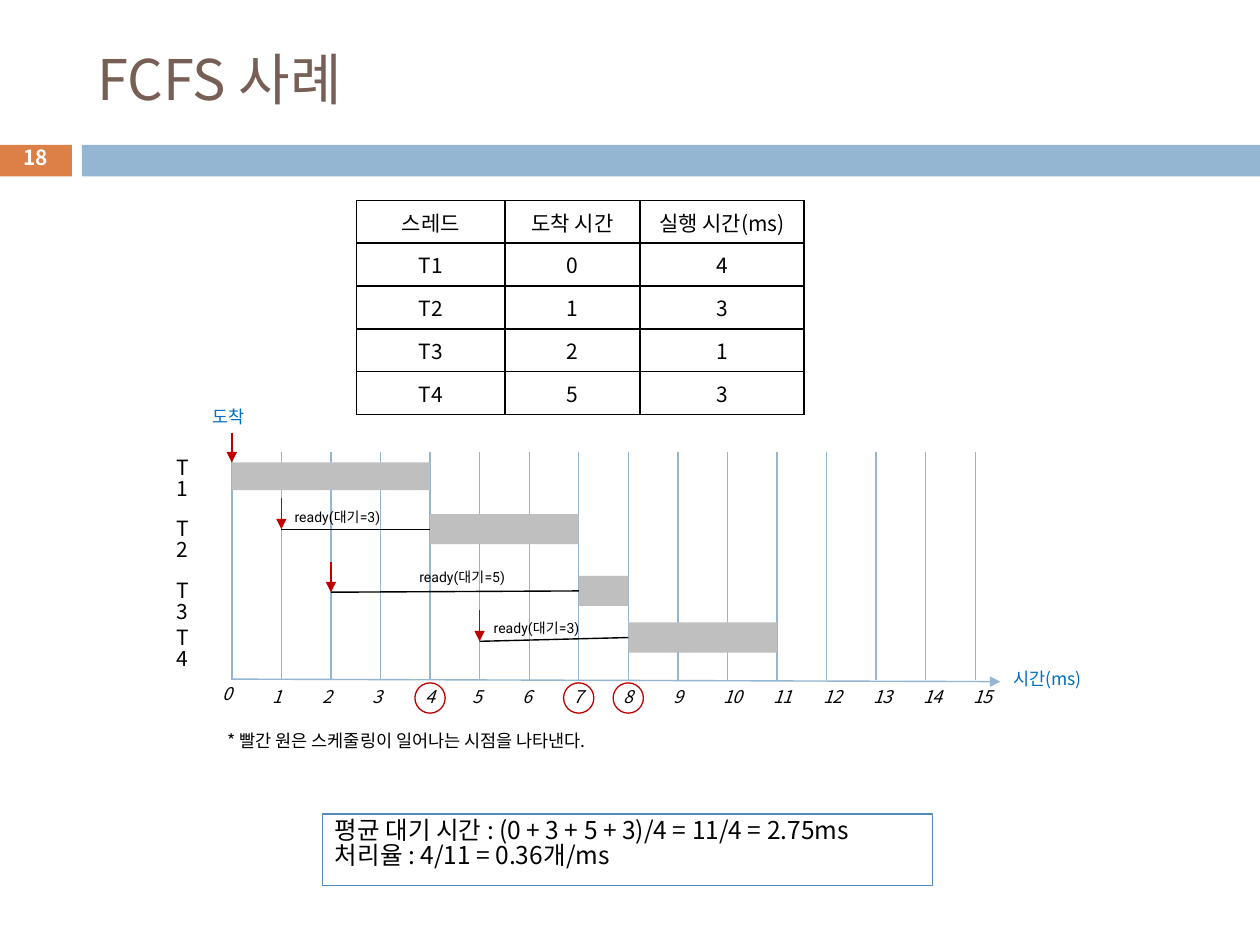
from lxml.etree import SubElement
from pptx import Presentation
from pptx.dml.color import RGBColor
from pptx.enum.shapes import MSO_CONNECTOR, MSO_SHAPE
from pptx.enum.text import MSO_ANCHOR, PP_ALIGN
from pptx.oxml.ns import qn
from pptx.util import Inches, Pt

THEME = {
    "font": "Noto Sans CJK KR", "label_font": "Roboto",
    "title": "775F55", "accent": "DD8047", "band": "94B6D2", "frame": "558BB8",
    "red": "C00000", "blue": "0070C0", "bar": "BFBFBF", "ink": "000000", "white": "FFFFFF",
    "sz_title": 32, "sz_number": 11.9, "sz_summary": 14, "sz_body": 12,
    "sz_axis": 10, "sz_label": 8, "line": 0.79, "frame_line": 0.75, "spacing": 0.83,
}

TITLE = "FCFS 사례"
PAGE = "18"
TABLE = [
    ("스레드", "도착 시간", "실행 시간(ms)"),
    ("T1", "0", "4"),
    ("T2", "1", "3"),
    ("T3", "2", "1"),
    ("T4", "5", "3"),
]
COL_WIDTHS = (1.18, 1.07, 1.3)
ROW_H = 0.34
# name, arrival, start, end, label top, bar top, bar height, arrow top, arrow tip
THREADS = [
    ("T1", 0, 0, 4, 3.59, 3.67, 0.22, 3.44, 3.67),
    ("T2", 1, 4, 7, 4.08, 4.08, 0.24, 3.95, 4.2),
    ("T3", 2, 7, 8, 4.57, 4.57, 0.24, 4.46, 4.7),
    ("T4", 5, 8, 11, 4.94, 4.94, 0.24, 4.84, 5.09),
]
# text, left, top
WAITS = [
    ("ready(대기=3)", 2.24, 3.99),
    ("ready(대기=5)", 3.23, 4.46),
    ("ready(대기=3)", 3.82, 4.87),
]
SWITCHES = (4, 7, 8)
LAST_TICK = 15
FOOTNOTE = "* 빨간 원은 스케줄링이 일어나는 시점을 나타낸다."
SUMMARY = [
    "평균 대기 시간 : (0 + 3 + 5 + 3)/4 = 11/4 = 2.75ms",
    "처리율 : 4/11 = 0.36개/ms",
]


def time_x(t):
    return 1.84 + 5.9 * t / LAST_TICK


def rgb(name):
    return RGBColor.from_string(THEME[name])


def style(p, size, color="ink", align=PP_ALIGN.LEFT, font="font", bold=False, italic=False):
    p.alignment = align
    f = p.font
    f.name, f.size, f.bold, f.italic = THEME[font], Pt(THEME[size]), bold, italic
    f.color.rgb = rgb(color)
    # Hangul takes its typeface from the East Asian font
    SubElement(f._element, qn("a:ea"), typeface=THEME[font])


def write(sp, lines, size, wrap=False, anchor=MSO_ANCHOR.TOP, tight=True, **kw):
    tf = sp.text_frame
    tf.word_wrap, tf.vertical_anchor = wrap, anchor
    for i, line in enumerate(lines):
        p = tf.add_paragraph() if i else tf.paragraphs[0]
        p.text = line
        if tight:
            p.line_spacing = THEME["spacing"]
        style(p, size, **kw)
    return tf


def add_text(s, text, box, size, **kw):
    sp = s.shapes.add_textbox(*map(Inches, box))
    write(sp, [text], size, **kw)


def add_box(s, box, fill=None, line=None, kind=MSO_SHAPE.RECTANGLE):
    sp = s.shapes.add_shape(kind, *map(Inches, box))
    sp.shadow.inherit = False
    if fill:
        sp.fill.solid()
        sp.fill.fore_color.rgb = rgb(fill)
    else:
        sp.fill.background()
    if line:
        sp.line.color.rgb = rgb(line)
        sp.line.width = Pt(THEME["frame_line"])
    else:
        sp.line.fill.background()
    return sp


def add_line(s, x1, y1, x2, y2, color, arrow=False):
    c = s.shapes.add_connector(MSO_CONNECTOR.STRAIGHT, *map(Inches, (x1, y1, x2, y2)))
    c.line.color.rgb = rgb(color)
    c.line.width = Pt(THEME["line"])
    if arrow:
        SubElement(c.line._get_or_add_ln(), qn("a:tailEnd"), type="triangle")
    SubElement(c._element.spPr, qn("a:effectLst"))
    return c


def add_borders(cell):
    tc_pr = cell._tc.get_or_add_tcPr()
    for side in ("lnL", "lnR", "lnT", "lnB"):
        ln = SubElement(tc_pr, qn("a:" + side), w=str(Pt(1)))
        SubElement(SubElement(ln, qn("a:solidFill")), qn("a:srgbClr"), val=THEME["ink"])


def add_header(s):
    add_box(s, (-0.01, 1.15, 0.58, 0.25), fill="accent")
    add_box(s, (0.65, 1.15, 9.35, 0.25), fill="band")
    title = s.shapes.title
    title.left, title.top, title.width, title.height = map(Inches, (0.67, 0.25, 8.92, 0.74))
    write(title, [TITLE], "sz_title", wrap=True, anchor=MSO_ANCHOR.MIDDLE,
          tight=False, color="title")
    add_text(s, PAGE, (-0.01, 1.13, 0.58, 0.27), "sz_number", anchor=MSO_ANCHOR.MIDDLE,
             color="white", align=PP_ALIGN.CENTER, bold=True)


def add_thread_table(s):
    box = (2.83, 1.59, sum(COL_WIDTHS), ROW_H * len(TABLE))
    table = s.shapes.add_table(len(TABLE), len(COL_WIDTHS), *map(Inches, box)).table
    for col, width in zip(table.columns, COL_WIDTHS):
        col.width = Inches(width)
    for r, row in enumerate(TABLE):
        table.rows[r].height = Inches(ROW_H)
        for c, text in enumerate(row):
            cell = table.cell(r, c)
            add_borders(cell)
            cell.fill.background()
            p = cell.text_frame.paragraphs[0]
            p.text = text
            style(p, "sz_body", align=PP_ALIGN.CENTER)


def add_axis(s):
    for t in range(LAST_TICK + 1):
        x = time_x(t)
        add_line(s, x, 3.59, x, 5.4, "band")
        if t in SWITCHES:
            sp = add_box(s, (x - 0.12, 5.42, 0.24, 0.24), line="red", kind=MSO_SHAPE.OVAL)
            tf = write(sp, [str(t)], "sz_axis", anchor=MSO_ANCHOR.MIDDLE,
                       align=PP_ALIGN.CENTER, italic=True)
            tf.margin_left = tf.margin_right = tf.margin_top = tf.margin_bottom = 0
        else:
            box = (1.67 + 0.397 * t, 5.42 if t else 5.4, 0.28 if t < 10 else 0.36, 0.27)
            add_text(s, str(t), box, "sz_axis", italic=True)
    add_line(s, time_x(0), 5.39, 7.94, 5.41, "band", arrow=True)
    add_text(s, "도착", (1.57, 3.2, 0.48, 0.27), "sz_axis", color="blue", align=PP_ALIGN.CENTER)
    add_text(s, "시간(ms)", (7.94, 5.28, 0.75, 0.27), "sz_axis", wrap=True,
             color="blue", align=PP_ALIGN.CENTER)


def add_threads(s):
    for name, arrival, start, end, label_y, bar_y, bar_h, arrow_y, tip_y in THREADS:
        add_text(s, name, (1.3, label_y, 0.38, 0.3), "sz_body", wrap=True)
        left = time_x(start)
        bar = add_box(s, (left, bar_y, time_x(end) - left, bar_h), fill="bar")
        x = time_x(arrival)
        if start > arrival:
            wait = add_line(s, x, tip_y, left, bar_y + bar_h / 2, "ink")
            wait.end_connect(bar, 1)
        add_line(s, x, arrow_y, x, tip_y, "red", arrow=True)
    for text, left, top in WAITS:
        add_text(s, text, (left, top, 0.96, 0.24), "sz_label", font="label_font", tight=False)


def main():
    prs = Presentation()
    prs.slide_width, prs.slide_height = Inches(10), Inches(7.5)
    s = prs.slides.add_slide(prs.slide_layouts[5])
    add_header(s)
    add_thread_table(s)
    add_axis(s)
    add_threads(s)
    add_text(s, FOOTNOTE, (1.71, 5.77, 3.39, 0.27), "sz_axis")
    write(add_box(s, (2.56, 6.46, 4.84, 0.57), line="frame"), SUMMARY, "sz_summary", wrap=True)
    prs.save("out.pptx")


if __name__ == "__main__":
    main()
